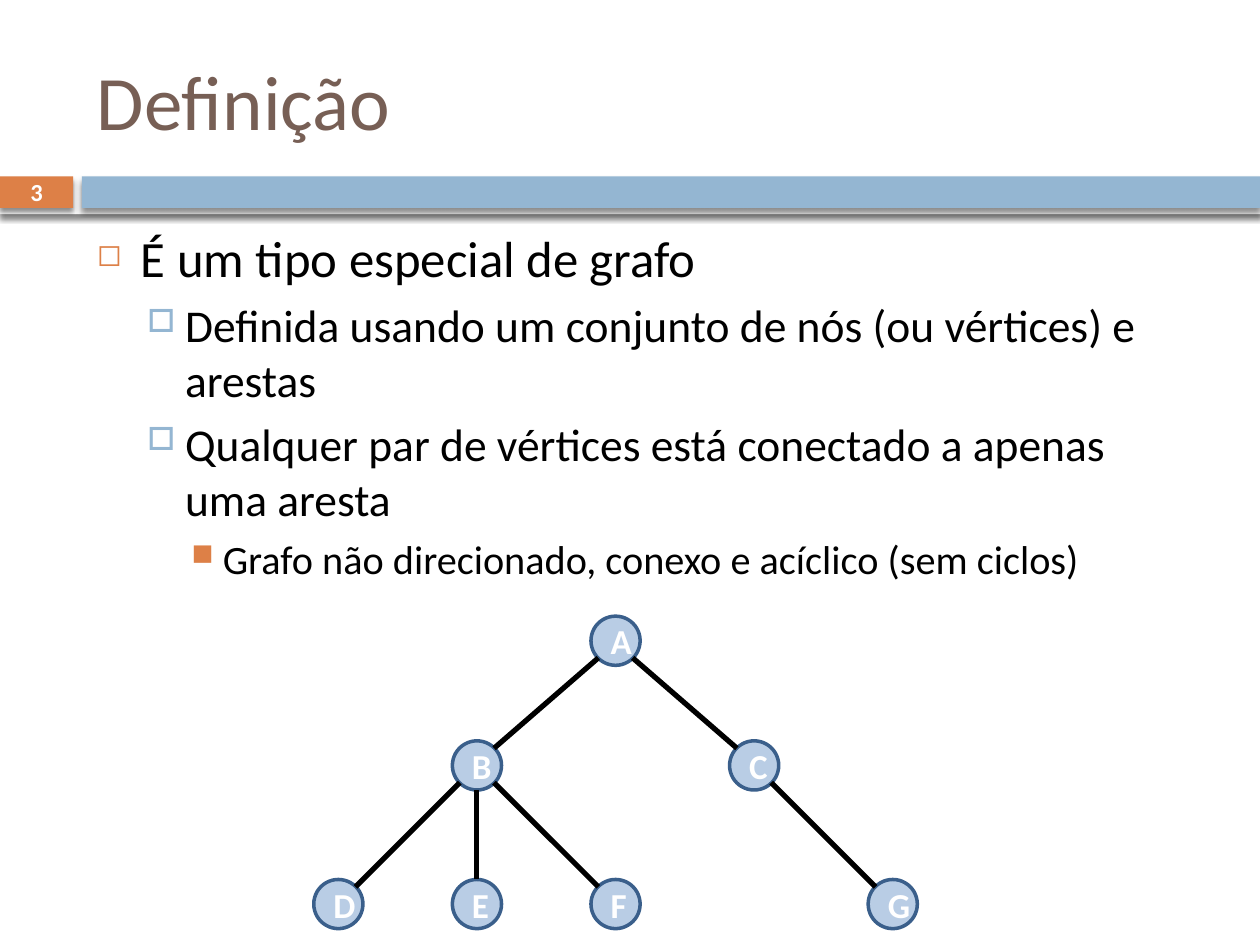
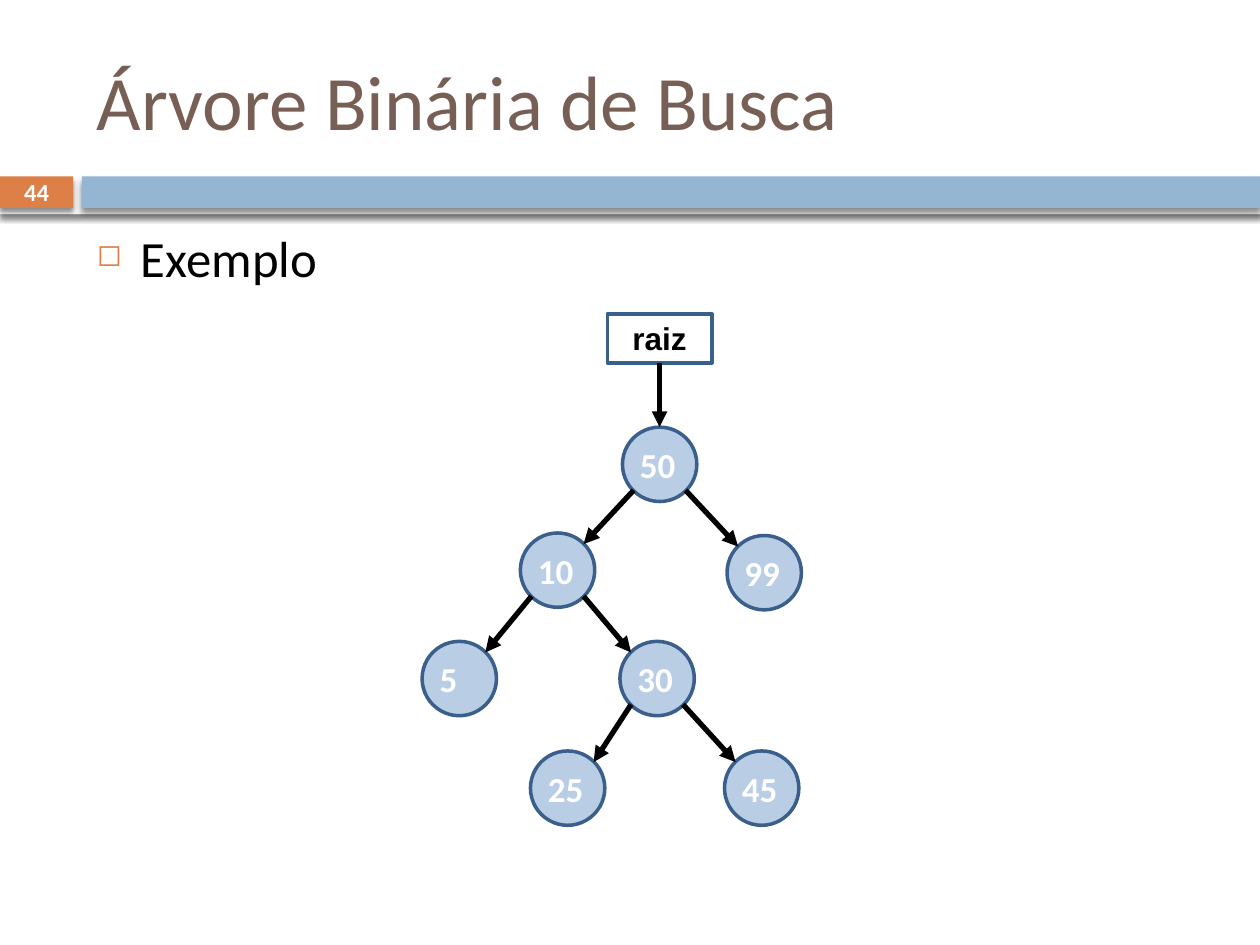
"""Build two slides on trees: a definition and a binary search tree."""
from lxml import etree
from pptx import Presentation
from pptx.dml.color import RGBColor
from pptx.enum.shapes import MSO_CONNECTOR, MSO_SHAPE
from pptx.enum.text import MSO_ANCHOR, PP_ALIGN
from pptx.oxml.ns import qn
from pptx.util import Inches, Pt

RECT, OVAL = MSO_SHAPE.RECTANGLE, MSO_SHAPE.OVAL
STRAIGHT = MSO_CONNECTOR.STRAIGHT
TOP, MIDDLE = MSO_ANCHOR.TOP, MSO_ANCHOR.MIDDLE
LEFT, CENTER = PP_ALIGN.LEFT, PP_ALIGN.CENTER

COLORS = {"white": "FFFFFF", "black": "000000", "orange": "DD8047",
          "blue": "94B6D2", "brown": "775F55", "node": "B9CDE5",
          "outline": "3A5F8B"}
FONTS = {"title": {"size": Pt(44), "name": "Calibri"},
         "node": {"size": Pt(20), "name": "Calibri", "bold": True},
         "root": {"size": Pt(18), "name": "Arial", "bold": True},
         "number": {"size": Pt(14), "name": "Calibri", "bold": True}}
LEVELS = [
    {"size": 29, "margin": 0.35, "indent": -0.35, "before": 7,
     "char": "◻", "color": "orange", "scale": 60},
    {"size": 26, "margin": 0.7, "indent": -0.3, "before": 5.5,
     "char": "□", "color": "blue", "scale": 70},
    {"size": 23, "margin": 1, "indent": -0.25, "before": 5,
     "char": "■", "color": "orange", "scale": 75},
]
BANDS = [(0, 1.35, 10, 0.35, "white"), (0, 1.4, 0.58, 0.25, "orange"),
         (0.65, 1.4, 9.35, 0.25, "blue")]


def rgb(name):
    """Return the named colour."""
    return RGBColor.from_string(COLORS[name])


def add_xml(parent, tag, **attrs):
    """Append a child element with the given attributes."""
    return etree.SubElement(parent, qn(tag), {k: str(v) for k, v in attrs.items()})


class Deck:
    """Hold the style and the current slide."""

    def __init__(self):
        """Start an empty 10 by 7.5 inch presentation."""
        self.prs = Presentation()
        self.prs.slide_width, self.prs.slide_height = Inches(10), Inches(7.5)
        self.s = None

    def slide(self, title, number, items):
        """Add a slide with bands, title, bullets and number."""
        self.s = self.prs.slides.add_slide(self.prs.slide_layouts[6])
        for *box, color in BANDS:
            self.band(box, color)
        self.text((0.67, 0.25, 8.92, 1.08), title, "title", "brown", MIDDLE)
        self.bullets((0.67, 1.75, 8.92, 4.92), items)
        self.text((0, 1.39, 0.58, 0.27), number, "number", "white", MIDDLE, CENTER)

    def shape(self, kind, box, fill=None, line=None):
        """Add a preset shape without a shadow."""
        sp = self.s.shapes.add_shape(kind, *map(Inches, box))
        sp.shadow.inherit = False
        if fill:
            sp.fill.solid()
            sp.fill.fore_color.rgb = rgb(fill)
        else:
            sp.fill.background()
        if line:
            sp.line.color.rgb = rgb(line)
            sp.line.width = Pt(2)
        else:
            sp.line.fill.background()
        return sp

    def band(self, box, color):
        """Add a rectangle with a soft shadow below it."""
        sp = self.shape(RECT, box, color)
        effects = sp._element.spPr.find(qn("a:effectLst"))
        shadow = add_xml(effects, "a:outerShdw", blurRad=Pt(3), dist=Pt(2.4),
                         dir=5400000, algn="ctr", rotWithShape=0)
        clr = add_xml(shadow, "a:srgbClr", val=COLORS["black"])
        add_xml(clr, "a:alpha", val=45000)

    def label(self, sp, text, font, color, anchor=MIDDLE, align=CENTER):
        """Put one styled paragraph in a shape."""
        tf = sp.text_frame
        tf.word_wrap = True
        tf.vertical_anchor = anchor
        p = tf.paragraphs[0]
        p.alignment = align
        r = p.add_run()
        r.text = text
        for key, value in FONTS[font].items():
            setattr(r.font, key, value)
        r.font.color.rgb = rgb(color)

    def text(self, box, text, font, color, anchor=TOP, align=LEFT):
        """Add a text box with one paragraph."""
        sp = self.s.shapes.add_textbox(*map(Inches, box))
        self.label(sp, text, font, color, anchor, align)

    def bullets(self, box, items):
        """Add a bulleted list of (level, text) items."""
        tf = self.s.shapes.add_textbox(*map(Inches, box)).text_frame
        tf.word_wrap = True
        for i, (level, text) in enumerate(items):
            style = LEVELS[level]
            p = tf.add_paragraph() if i else tf.paragraphs[0]
            p.level = level
            pPr = p._p.get_or_add_pPr()
            pPr.set("marL", str(Inches(style["margin"])))
            pPr.set("indent", str(Inches(style["indent"])))
            clr = add_xml(pPr, "a:buClr")
            add_xml(clr, "a:srgbClr", val=COLORS[style["color"]])
            add_xml(pPr, "a:buSzPct", val=style["scale"] * 1000)
            add_xml(pPr, "a:buChar", char=style["char"])
            if i:
                p.space_before = Pt(style["before"])
            r = p.add_run()
            r.text = text
            r.font.size, r.font.name = Pt(style["size"]), "Calibri"
            r.font.color.rgb = rgb("black")

    def line(self, start, end, arrow=False):
        """Add a straight black line, with an arrowhead if asked."""
        cx = self.s.shapes.add_connector(STRAIGHT, *map(Inches, (*start, *end)))
        cx.line.color.rgb = rgb("black")
        cx.line.width = Pt(3)
        spPr = cx._element.spPr
        if arrow:
            add_xml(spPr.find(qn("a:ln")), "a:tailEnd", type="triangle")
        add_xml(spPr, "a:effectLst")
        return cx

    def node(self, x, y, size):
        """Add a round tree node."""
        return self.shape(OVAL, (x, y, size, size), "node", "outline")

    def edge(self, parent, child, size, arrow=False):
        """Join two nodes at the rims that face each other."""
        (px, py), (cx, cy) = [(x + size / 2, y + size / 2) for x, y in (parent, child)]
        side = (cx > px) - (cx < px)
        dx = side * size * 0.35
        dy = size * (0.35 if side else 0.5)
        self.line((px + dx, py + dy), (cx - dx, cy - dy), arrow)


def definition(deck):
    """Build the definition slide with its lettered tree."""
    deck.slide("Definição", "3", [
        (0, "É um tipo especial de grafo"),
        (1, "Definida usando um conjunto de nós (ou vértices) e arestas"),
        (1, "Qualquer par de vértices está conectado a apenas uma aresta"),
        (2, "Grafo não direcionado, conexo e acíclico (sem ciclos)")])
    size, rows = 0.39, (4.89, 5.88, 6.98)
    cells = {"A": (2, 0), "B": (1, 1), "C": (3, 1), "D": (0, 2),
             "E": (1, 2), "F": (2, 2), "G": (4, 2)}
    nodes = {k: (2.49 + 1.1 * col, rows[row]) for k, (col, row) in cells.items()}
    for letter, at in nodes.items():
        deck.label(deck.node(*at, size), letter, "node", "white")
    for parent, child in ("AB", "AC", "BD", "BE", "BF", "CG"):
        deck.edge(nodes[parent], nodes[child], size)


def search_tree(deck):
    """Build the binary search tree example."""
    deck.slide("Árvore Binária de Busca", "44", [(0, "Exemplo")])
    size = 0.59
    nodes = {"50": (4.94, 3.39), "10": (4.13, 4.23), "99": (5.77, 4.25),
             "5": (3.35, 5.09), "30": (4.92, 5.09), "25": (4.21, 5.96),
             "45": (5.75, 5.96)}
    children = {"50": ("10", "99"), "10": ("5", "30"), "30": ("25", "45")}
    for at in nodes.values():
        deck.node(*at, size)
    for parent, pair in children.items():
        for child in pair:
            deck.edge(nodes[parent], nodes[child], size, arrow=True)
    root = deck.shape(RECT, (4.82, 2.49, 0.83, 0.39), line="outline")
    deck.label(root, "raiz", "root", "black")
    x, y = nodes["50"]
    center = x + size / 2
    deck.line((center, 2.88), (center, y), arrow=True).begin_connect(root, 2)
    for value, (x, y) in nodes.items():
        deck.text((x + 0.04, y + 0.08, 0.51, 0.76), value, "node", "white")


def main():
    """Build and save the slides."""
    deck = Deck()
    definition(deck)
    search_tree(deck)
    deck.prs.save("out.pptx")


if __name__ == "__main__":
    main()
